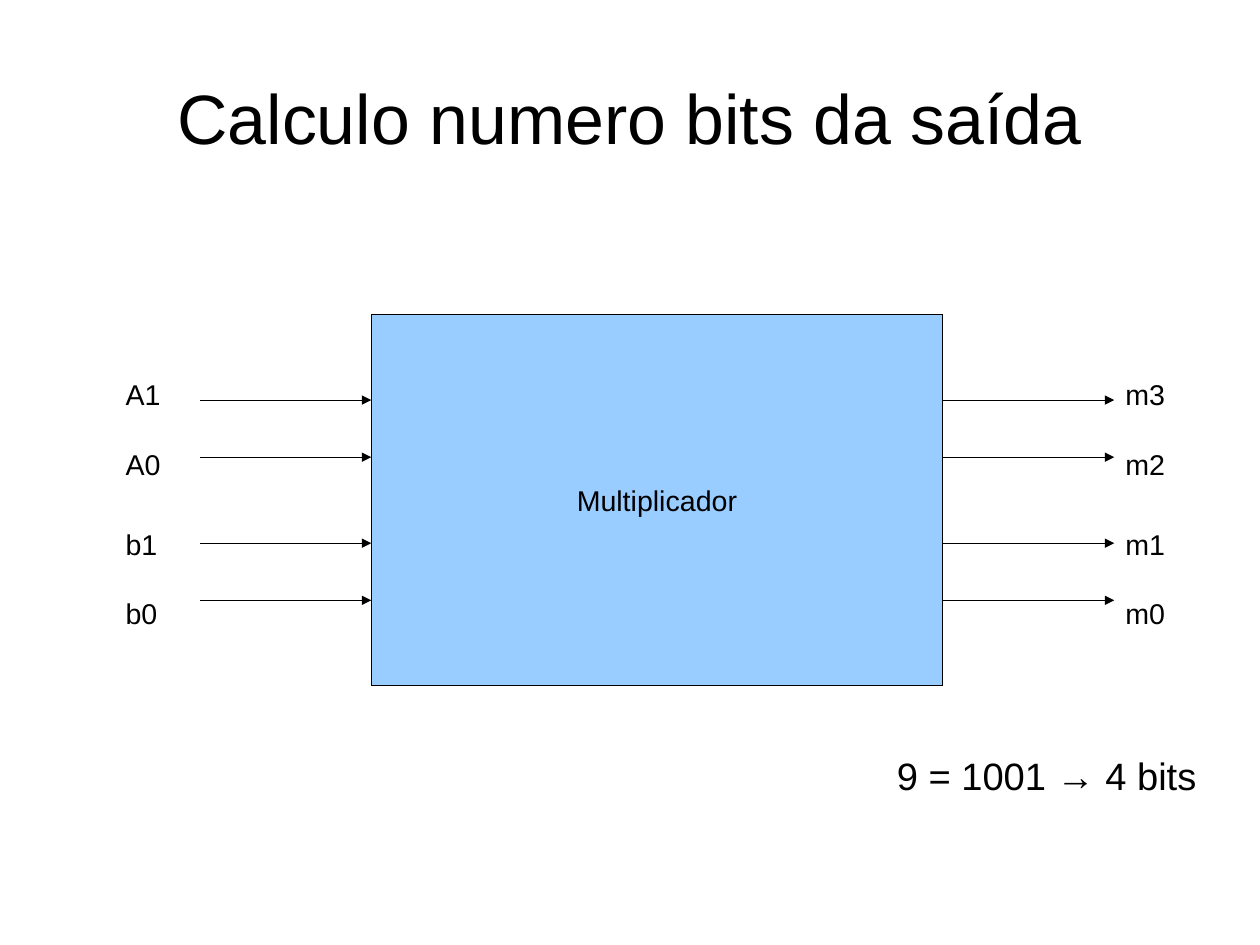
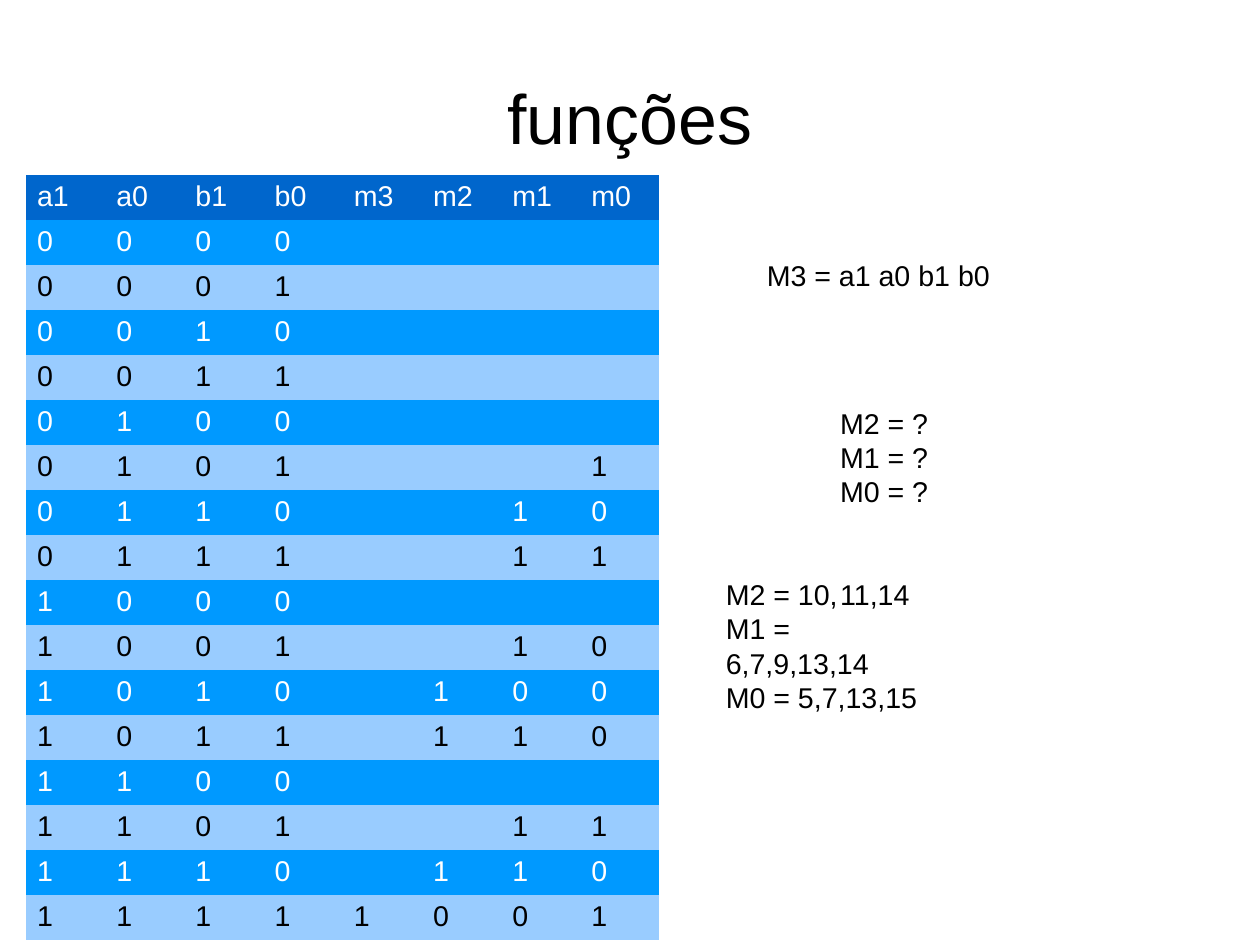
from lxml import etree
from pptx import Presentation
from pptx import util as u
from pptx.dml.color import RGBColor
from pptx.enum import shapes, text
from pptx.oxml import ns

Cm, Pt = u.Cm, u.Pt

# Shared look
FONT, BLACK, WHITE = "Arial", "000000", "FFFFFF"
HEAD, DARK, LIGHT = "0066CC", "0099FF", "99CCFF"
PLAIN = "{2D5ABB26-0587-4C30-8999-92F81FD0307C}"  # table style without grid
TITLE = (1.4, 0.97, 25.2, 3.25)

# Slide 1: block diagram (left, top, width, height in cm)
BLOCK = (8.25, 6.98, 12.7, 8.25)
WIRES = [8.89, 10.16, 12.07, 13.34]
REACH = 3.81
GAP = 22  # points between the two labels of a pair
PAIRS = [
    (["A1", "A0"], (2.54, 8.26, 1.28, 2.4)),
    (["b1", "b0"], (2.54, 11.58, 1.22, 2.4)),
    (["m3", "m2"], (24.76, 8.26, 1.39, 2.4)),
    (["m1", "m0"], (24.76, 11.58, 1.39, 2.4)),
]
RESULT = (["9 = 1001 → 4 bits"], (19.68, 16.59, 7.16, 1.2))

# Slide 2: truth table; each row of inputs counts up in binary
NAMES = ["a1", "a0", "b1", "b0", "m3", "m2", "m1", "m0"]
OUTS = ["", "", "", "", "", "   1", "  10", "  11",
        "", "  10", " 100", " 110", "", "  11", " 110", "1001"]
GRID = (0.57, 3.89)
COL, ROW = 1.76, 1
NOTES = [
    (["M3 = a1 a0 b1 b0"], (16.79, 5.6, 5.46, 0.97)),
    (["M2 = ?", "M1 = ?", "M0 = ?"], (18.42, 8.89, 2.46, 2.4)),
    (["M2 = 10,\t11,14", "M1 = 6,7,9,13,14", "M0 = 5,7,13,15"],
     (15.88, 12.7, 5.28, 2.4)),
]


def rgb(code):
    return RGBColor.from_string(code)


def place(box):
    return [Cm(n) for n in box]


def style(par, size=18, color=BLACK, **form):
    for key, val in form.items():
        setattr(par, key, val)
    par.font.name, par.font.size = FONT, Pt(size)
    par.font.color.rgb = rgb(color)


def hair(shape):
    shape.line.color.rgb = rgb(BLACK)
    edge = shape.line._get_or_add_ln()
    edge.set("w", "0")
    return edge


def start(deck, title):
    slide = deck.slides.add_slide(deck.slide_layouts[5])
    head = slide.shapes.title
    head.left, head.top, head.width, head.height = place(TITLE)
    frame = head.text_frame
    frame.text = title
    form = {"margin_left": 0, "margin_right": 0, "margin_top": 0,
            "margin_bottom": 0, "vertical_anchor": text.MSO_ANCHOR.MIDDLE}
    for key, val in form.items():
        setattr(frame, key, val)
    style(frame.paragraphs[0], 44, alignment=text.PP_ALIGN.CENTER)
    return slide


def label(slide, lines, box, size=18, gap=0):
    frame = slide.shapes.add_textbox(*place(box)).text_frame
    frame.word_wrap = False
    frame.auto_size = text.MSO_AUTO_SIZE.SHAPE_TO_FIT_TEXT
    frame.text = "\n".join(lines)
    for i, par in enumerate(frame.paragraphs):
        style(par, size, space_before=Pt(gap if i else 0))


def arrow(slide, x, y):
    line = slide.shapes.add_connector(
        shapes.MSO_CONNECTOR.STRAIGHT, *place((x, y, x + REACH, y)))
    tip = etree.SubElement(hair(line), ns.qn("a:tailEnd"))
    tip.set("type", "triangle")
    etree.SubElement(line._element.spPr, ns.qn("a:effectLst"))


def diagram(deck):
    slide = start(deck, "Calculo numero bits da saída")
    block = slide.shapes.add_shape(shapes.MSO_SHAPE.RECTANGLE, *place(BLOCK))
    block.shadow.inherit = False
    block.fill.solid()
    block.fill.fore_color.rgb = rgb(LIGHT)
    hair(block)
    block.text_frame.text = "Multiplicador"
    style(block.text_frame.paragraphs[0], alignment=text.PP_ALIGN.CENTER)

    # Inputs end at the block, outputs leave it
    for x in (BLOCK[0] - REACH, BLOCK[0] + BLOCK[2]):
        for y in WIRES:
            arrow(slide, x, y)
    for lines, box in PAIRS:
        label(slide, lines, box, gap=GAP)
    label(slide, *RESULT, size=24)


def truth(deck):
    slide = start(deck, "funções")
    rows = [NAMES] + [f"{i:04b}{out:4}" for i, out in enumerate(OUTS)]
    size = (COL * len(NAMES), ROW * len(rows))
    table = slide.shapes.add_table(
        len(rows), len(NAMES), *place(GRID + size)).table
    table.first_row = table.horz_banding = False
    table._tbl.tblPr.find(ns.qn("a:tableStyleId")).text = PLAIN
    for col in table.columns:
        col.width = Cm(COL)
    for r, row in enumerate(rows):
        table.rows[r].height = Cm(ROW)
        fill = (DARK if r % 2 else LIGHT) if r else HEAD
        for c, val in enumerate(row):
            cell = table.cell(r, c)
            cell.fill.solid()
            cell.fill.fore_color.rgb = rgb(fill)
            cell.text = val.strip()
            style(cell.text_frame.paragraphs[0],
                  color=BLACK if fill == LIGHT else WHITE)
    for lines, box in NOTES:
        label(slide, lines, box)


def main():
    deck = Presentation()
    deck.slide_width, deck.slide_height = Cm(28), Cm(21)
    diagram(deck)
    truth(deck)
    deck.save("out.pptx")


if __name__ == "__main__":
    main()
